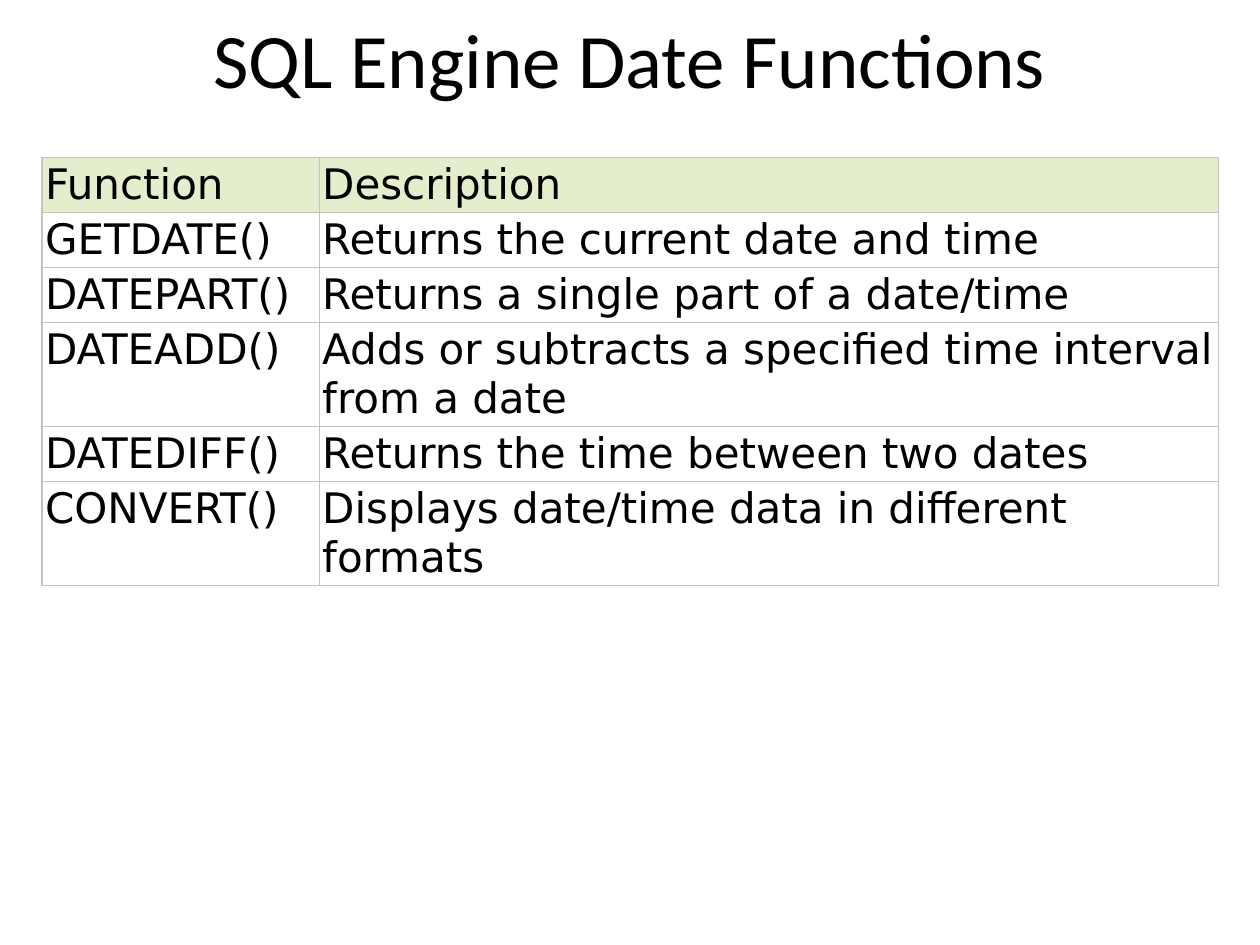
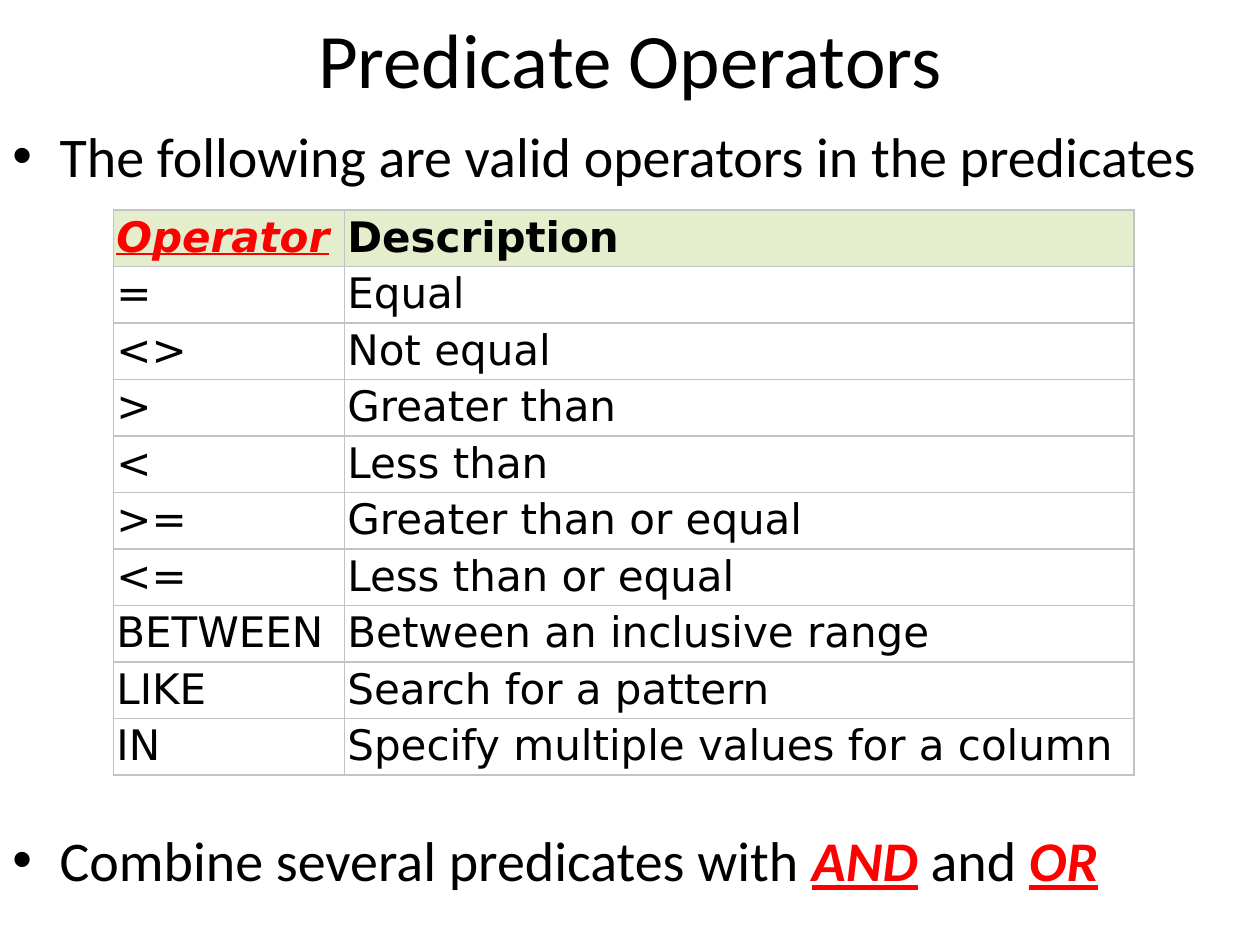
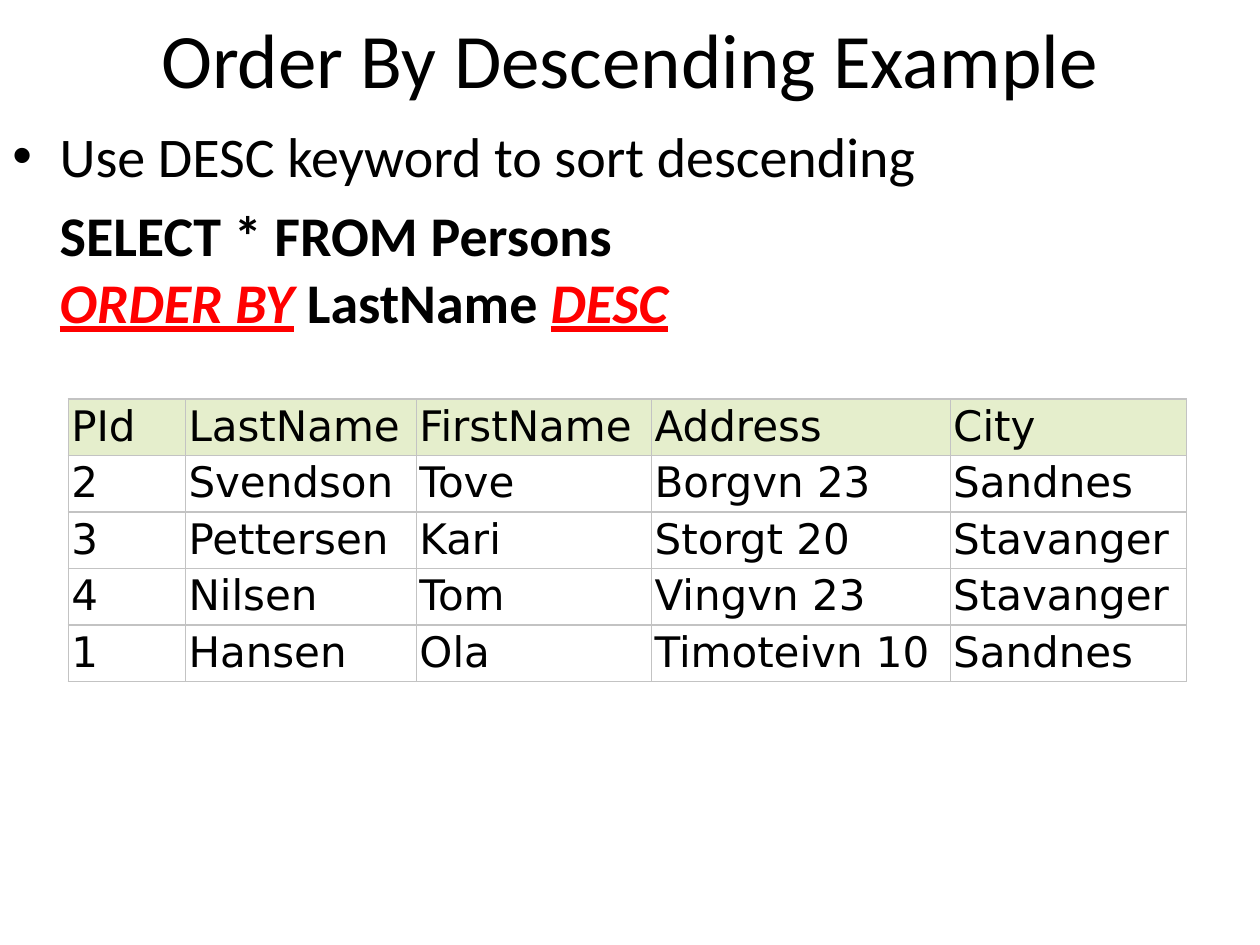
"""Build three slides about SQL functions, operators and sorting."""
from dataclasses import dataclass

from lxml import etree
from pptx import Presentation
from pptx.dml.color import RGBColor
from pptx.enum.text import MSO_ANCHOR, PP_ALIGN
from pptx.oxml.ns import qn
from pptx.util import Pt

MIDDLE = MSO_ANCHOR.MIDDLE
CENTER = PP_ALIGN.CENTER
TITLE_ONLY = 5


@dataclass(frozen=True)
class Theme:
    text: str = "000000"
    accent: str = "FF0000"
    header: str = "E5EECC"
    cell: str = "FFFFFF"
    border: str = "C3C3C3"
    font: str = "Calibri"
    table_font: str = "DejaVu Sans"
    title_size: float = 44
    body_size: float = 32
    table_size: float = 24
    border_width: float = 0.75
    cell_margin: float = 1.75
    row_height: float = 31.4
    extra_line: float = 28
    indent: float = 27
    paragraph_gap: float = 6.4
    width: float = 720
    height: float = 540
    title_height: float = 66


THEME = Theme()
BOLD = {"bold": True}
EMPHASIS = {"bold": True, "italic": True, "underline": True, "color": THEME.accent}


def write(paragraph, text, font=THEME.font, size=THEME.body_size,
          color=THEME.text, bold=False, italic=False, underline=False):
    run = paragraph.add_run()
    run.text = text
    run.font.name = font
    run.font.size = Pt(size)
    run.font.color.rgb = RGBColor.from_string(color)
    run.font.bold = bold
    run.font.italic = italic
    run.font.underline = underline


class Deck:
    def __init__(self, theme):
        self.theme = theme
        self.presentation = Presentation()
        self.presentation.slide_width = Pt(theme.width)
        self.presentation.slide_height = Pt(theme.height)
        self.slide = None

    def add_slide(self, title):
        layout = self.presentation.slide_layouts[TITLE_ONLY]
        self.slide = self.presentation.slides.add_slide(layout)
        shape = self.slide.shapes.title
        shape.left, shape.top = Pt(0), Pt(0)
        shape.width, shape.height = Pt(self.theme.width), Pt(self.theme.title_height)
        shape.text_frame.vertical_anchor = MIDDLE
        paragraph = shape.text_frame.paragraphs[0]
        paragraph.alignment = CENTER
        write(paragraph, title, size=self.theme.title_size)

    def add_body(self):
        theme = self.theme
        shape = self.slide.shapes.add_textbox(
            Pt(0), Pt(theme.title_height),
            Pt(theme.width), Pt(theme.height - theme.title_height))
        shape.text_frame.word_wrap = True
        return shape.text_frame

    def add_paragraph(self, frame, lines, bullet=True, gap=None):
        paragraph = frame.paragraphs[0]
        if paragraph.runs:
            paragraph = frame.add_paragraph()
            paragraph.space_before = Pt(gap or self.theme.paragraph_gap)
        properties = paragraph._p.get_or_add_pPr()
        indent = Pt(self.theme.indent)
        properties.set("marL", str(indent))
        properties.set("indent", str(-indent if bullet else 0))
        if bullet:
            etree.SubElement(properties, qn("a:buFont"), typeface="Arial")
            etree.SubElement(properties, qn("a:buChar"), char="•")
        for index, line in enumerate(lines):
            if index:
                paragraph.add_line_break()
            for text, style in line:
                write(paragraph, text, **style)

    def add_table(self, left, top, widths, rows, header_styles=None, tall_rows=()):
        theme = self.theme
        heights = [theme.row_height + theme.extra_line * (index in tall_rows)
                   for index in range(len(rows))]
        table = self.slide.shapes.add_table(
            len(rows), len(widths), Pt(left), Pt(top),
            Pt(sum(widths)), Pt(sum(heights))).table
        table.first_row = False
        table.horz_banding = False
        for column, width in zip(table.columns, widths):
            column.width = Pt(width)
        for row, height in zip(table.rows, heights):
            row.height = Pt(height)
        for row_index, texts in enumerate(rows):
            styles = header_styles if header_styles and row_index == 0 else [{}] * len(widths)
            fill = theme.cell if row_index else theme.header
            for column_index, (text, style) in enumerate(zip(texts, styles)):
                self.format_cell(table.cell(row_index, column_index), text, fill, style)

    def format_cell(self, cell, text, fill, style):
        theme = self.theme
        margin = Pt(theme.cell_margin)
        cell.margin_left = cell.margin_right = margin
        cell.margin_top = cell.margin_bottom = margin
        properties = cell._tc.get_or_add_tcPr()
        for side in ("a:lnL", "a:lnR", "a:lnT", "a:lnB"):
            line = etree.SubElement(properties, qn(side), w=str(Pt(theme.border_width)))
            solid = etree.SubElement(line, qn("a:solidFill"))
            etree.SubElement(solid, qn("a:srgbClr"), val=theme.border)
        cell.fill.solid()
        cell.fill.fore_color.rgb = RGBColor.from_string(fill)
        write(cell.text_frame.paragraphs[0], text,
              font=theme.table_font, size=theme.table_size, **style)


def add_date_functions(deck):
    deck.add_slide("SQL Engine Date Functions")
    deck.add_table(24, 90, [158.4, 513.9], [
        ("Function", "Description"),
        ("GETDATE()", "Returns the current date and time"),
        ("DATEPART()", "Returns a single part of a date/time"),
        ("DATEADD()", "Adds or subtracts a specified time interval from a date"),
        ("DATEDIFF()", "Returns the time between two dates"),
        ("CONVERT()", "Displays date/time data in different formats"),
    ], tall_rows=(3, 5))


def add_predicate_operators(deck):
    deck.add_slide("Predicate Operators")
    body = deck.add_body()
    deck.add_paragraph(body, [[("The following are valid operators in the predicates", {})]])
    deck.add_paragraph(body, [[
        ("Combine several predicates with ", {}), ("AND", EMPHASIS),
        (" and ", {}), ("OR", EMPHASIS),
    ]], gap=364)
    deck.add_table(64.8, 120, [132, 451.2], [
        ("Operator", "Description"),
        ("=", "Equal"),
        ("<>", "Not equal"),
        (">", "Greater than"),
        ("<", "Less than"),
        (">=", "Greater than or equal"),
        ("<=", "Less than or equal"),
        ("BETWEEN", "Between an inclusive range"),
        ("LIKE", "Search for a pattern"),
        ("IN", "Specify multiple values for a column"),
    ], header_styles=[EMPHASIS, BOLD])


def add_descending_example(deck):
    deck.add_slide("Order By Descending Example")
    body = deck.add_body()
    deck.add_paragraph(body, [[("Use DESC keyword to sort descending", {})]])
    deck.add_paragraph(body, [
        [("SELECT * FROM Persons", BOLD)],
        [("ORDER BY", EMPHASIS), (" LastName ", BOLD), ("DESC", EMPHASIS)],
    ], bullet=False)
    deck.add_table(39, 228, [67, 132, 134.4, 170.6, 135.2], [
        ("PId", "LastName", "FirstName", "Address", "City"),
        ("2", "Svendson", "Tove", "Borgvn 23", "Sandnes"),
        ("3", "Pettersen", "Kari", "Storgt 20", "Stavanger"),
        ("4", "Nilsen", "Tom", "Vingvn 23", "Stavanger"),
        ("1", "Hansen", "Ola", "Timoteivn 10", "Sandnes"),
    ])


def main():
    deck = Deck(THEME)
    add_date_functions(deck)
    add_predicate_operators(deck)
    add_descending_example(deck)
    deck.presentation.save("out.pptx")


if __name__ == "__main__":
    main()
